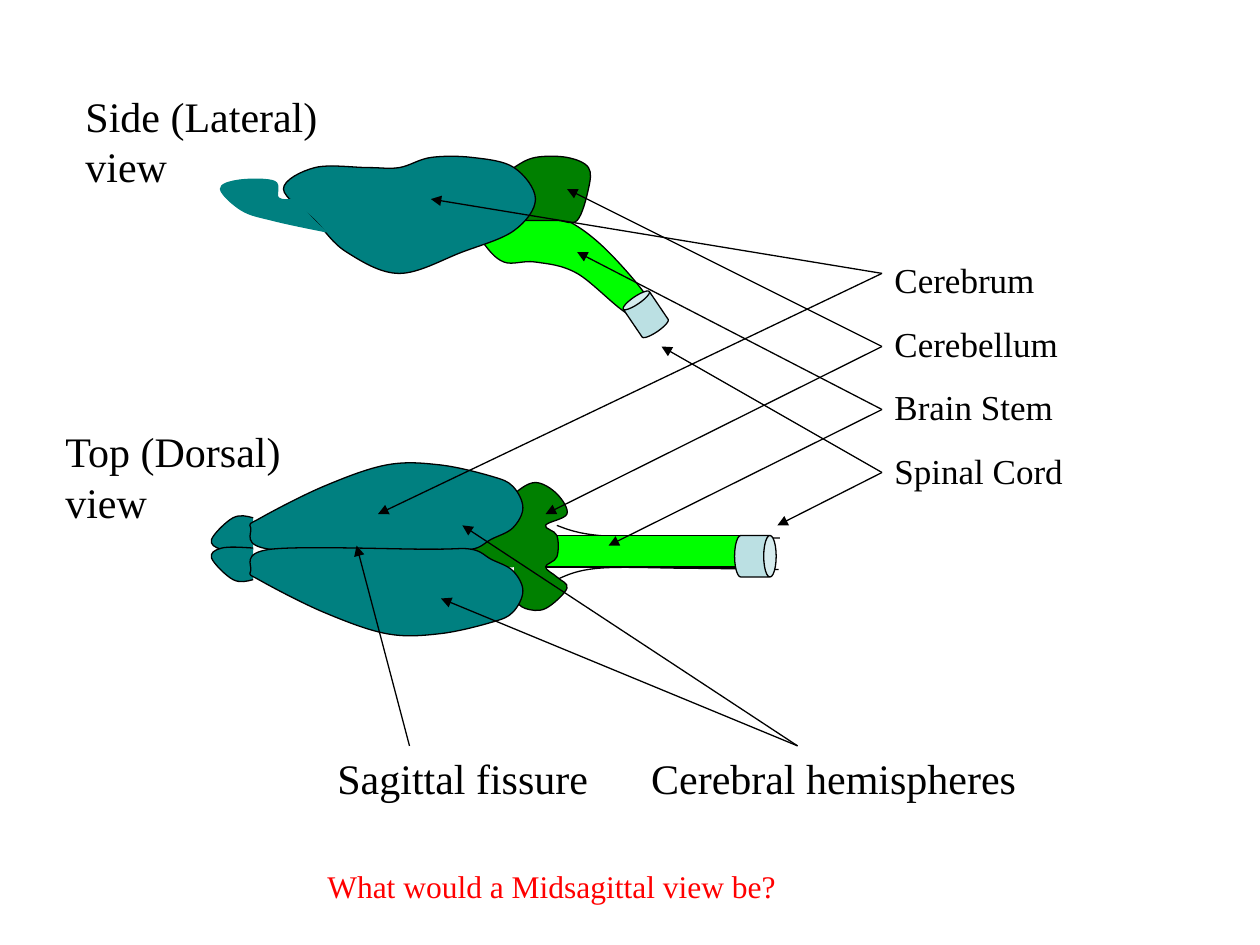
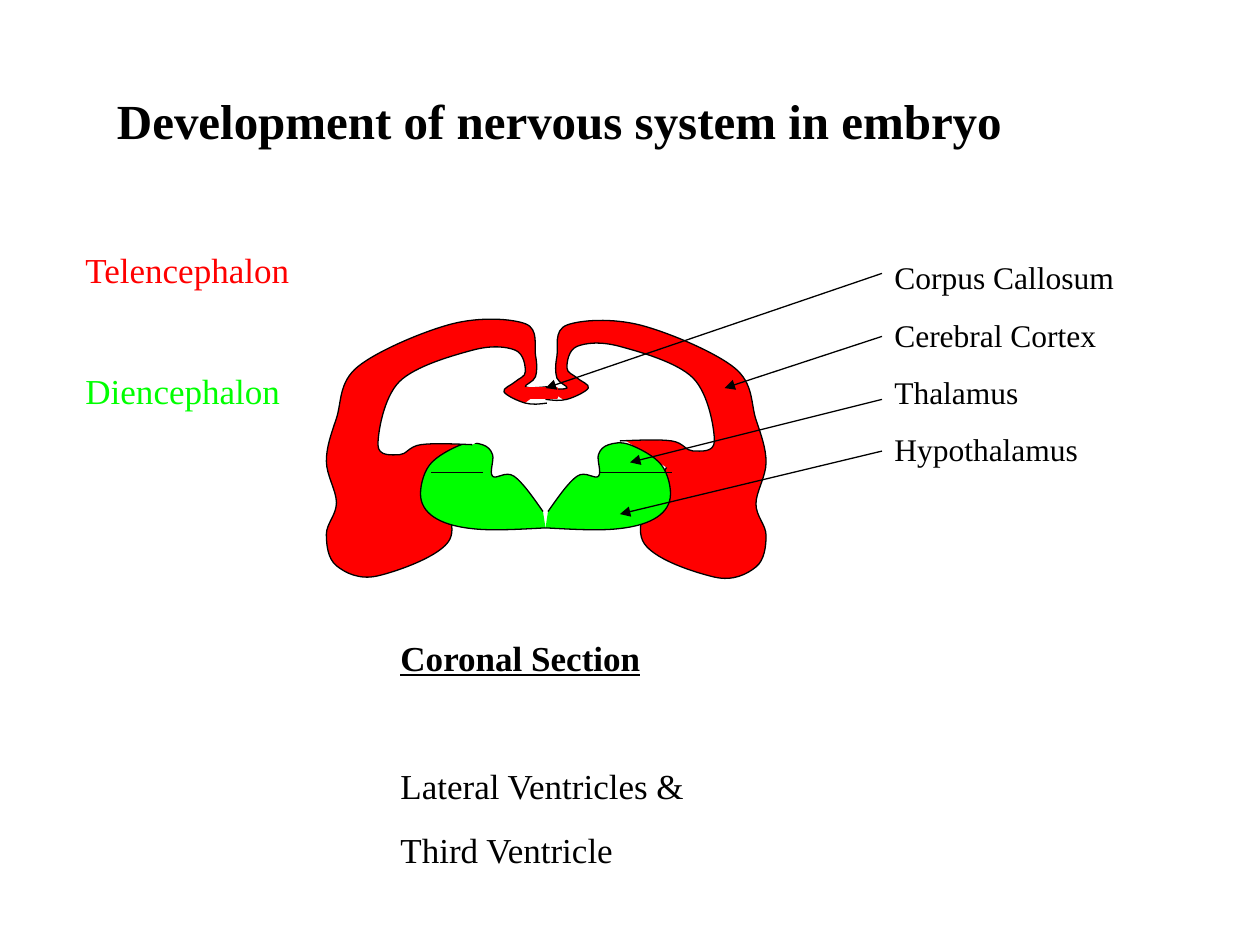
"""Build two slides on brain anatomy: outer views and a coronal section."""
from dataclasses import dataclass
from typing import Optional

from lxml import etree
from pptx import Presentation
from pptx import util as u
from pptx.dml import color
from pptx.enum import shapes, text
from pptx.oxml import ns

HUES = {
    "black": "000000", "white": "FFFFFF", "red": "FF0000", "teal": "008080",
    "green": "008000", "lime": "00FF00", "pale": "BBE0E3",
}
FONT = "Times New Roman"
STROKE = u.Pt(0.75)
KINDS = shapes.MSO_SHAPE
Point = tuple[float, float]
Box = tuple[float, float, float, float]


@dataclass
class Curve:
    points: list[Point]
    fill: Optional[str] = None
    line: str = "black"
    closed: bool = False


@dataclass
class Block:
    kind: shapes.MSO_SHAPE
    box: Box
    fill: str
    line: str = "black"
    turn: float = 0
    depth: Optional[float] = None


@dataclass
class Link:
    start: Point
    end: Point
    arrow: bool = True


@dataclass
class Line:
    words: str
    hue: str = "black"
    gap: float = 0
    strong: bool = False
    under: bool = False
    tab: Optional[float] = None


@dataclass
class Label:
    box: Box
    size: float
    lines: list[Line]


def rgb(name: str) -> color.RGBColor:
    return color.RGBColor.from_string(HUES[name])


def bend(curve: Curve) -> list[Point]:
    """Return the start of a smooth curve, then three Bezier points a span."""
    dots = [complex(*point) for point in curve.points]
    count = len(dots)
    spans = count if curve.closed else count - 1
    trail = [dots[0]]
    for i in range(spans):
        a, d = dots[i], dots[(i + 1) % count]
        b = a + (d - dots[i - 1]) / 6
        c = d - (dots[(i + 2) % count] - a) / 6
        if not curve.closed and i == 0:
            b = (a + c) / 2
        if not curve.closed and i == spans - 1:
            c = (b + d) / 2
        trail += [b, c, d]
    return [(u.Inches(dot.real), u.Inches(dot.imag)) for dot in trail]


def paint(shape, fill: Optional[str], line: str) -> None:
    shape.shadow.inherit = False
    if fill:
        shape.fill.solid()
        shape.fill.fore_color.rgb = rgb(fill)
    else:
        shape.fill.background()
    shape.line.color.rgb = rgb(line)
    shape.line.width = STROKE


def draw_curve(slide, curve: Curve) -> None:
    first, *rest = bend(curve)
    maker = slide.shapes.build_freeform(*first)
    maker.add_line_segments(rest, close=curve.closed)
    shape = maker.convert_to_shape()
    sides = list(shape._element.iter(ns.qn("a:lnTo")))
    for i in range(0, len(sides), 3):
        arc = etree.Element(ns.qn("a:cubicBezTo"))
        sides[i].addprevious(arc)
        for side in sides[i:i + 3]:
            arc.append(side[0])
            side.getparent().remove(side)
    paint(shape, curve.fill, curve.line)


def draw_block(slide, block: Block) -> None:
    shape = slide.shapes.add_shape(block.kind, *map(u.Inches, block.box))
    shape.rotation = block.turn
    if block.depth is not None:
        shape.adjustments[0] = block.depth
    paint(shape, block.fill, block.line)


def draw_link(slide, link: Link) -> None:
    ends = map(u.Inches, (*link.start, *link.end))
    wire = slide.shapes.add_connector(shapes.MSO_CONNECTOR.STRAIGHT, *ends)
    wire.line.color.rgb = rgb("black")
    wire.line.width = STROKE
    if link.arrow:
        stroke = wire.line._get_or_add_ln()
        etree.SubElement(stroke, ns.qn("a:tailEnd"), type="triangle")
    etree.SubElement(wire._element.spPr, ns.qn("a:effectLst"))


def draw_label(slide, label: Label) -> None:
    frame = slide.shapes.add_textbox(*map(u.Inches, label.box)).text_frame
    frame.word_wrap = True
    frame.auto_size = text.MSO_AUTO_SIZE.SHAPE_TO_FIT_TEXT
    for i, line in enumerate(label.lines):
        para = frame.add_paragraph() if i else frame.paragraphs[0]
        if line.tab is not None:
            stops = etree.SubElement(para._p.get_or_add_pPr(), ns.qn("a:tabLst"))
            etree.SubElement(stops, ns.qn("a:tab"), pos=str(u.Inches(line.tab)), algn="l")
        if i:
            para.space_before = u.Pt(line.gap)
        run = para.add_run()
        run.text = line.words
        font = run.font
        font.name, font.size = FONT, u.Pt(label.size)
        font.bold, font.underline = line.strong, line.under
        font.color.rgb = rgb(line.hue)


DRAW = {Curve: draw_curve, Block: draw_block, Link: draw_link, Label: draw_label}


def flip_x(points: list[Point], rise: float = 0, span: float = 8.67) -> list[Point]:
    """Mirror points left to right about the midline of the section."""
    return [(span - x, y + rise) for x, y in points]


def flip_y(points: list[Point], span: float = 8.72) -> list[Point]:
    """Mirror points top to bottom about the sagittal fissure."""
    return [(x, span - y) for x, y in points]


def stack(names: list[str], gap: float) -> list[Line]:
    return [Line(name, gap=gap) for name in names]


def fan(start: Point, *ends: Point) -> list[Link]:
    return [Link(start, end) for end in ends]


STEM = [(3.83, 1.92), (4, 2.08), (4.25, 2.08), (4.58, 2.17), (5, 2.5),
        (5.17, 2.42), (4.83, 2), (4.5, 1.75), (4.17, 1.67)]
SIDE_BELLUM = [(4.08, 1.33), (4.25, 1.25), (4.5, 1.25), (4.67, 1.33),
               (4.67, 1.5), (4.58, 1.75), (4.42, 1.75), (4.17, 1.75)]
SIDE_BRUM = [(2.5, 1.75), (2.25, 1.5), (2.5, 1.33), (2.92, 1.33), (3.17, 1.33),
             (3.42, 1.25), (3.75, 1.25), (4.08, 1.33), (4.25, 1.58),
             (4.08, 1.83), (3.67, 2), (3.17, 2.17), (2.75, 2)]
SIDE_BULB = [(2.59, 1.84), (2.17, 1.75), (1.92, 1.67), (1.75, 1.5),
             (1.9, 1.43), (2.18, 1.44), (2.21, 1.57), (2.33, 1.58)]
CORD_TOP = [(4.42, 4.17), (4.75, 4.25), (5.43, 4.27), (6.19, 4.27)]
CORD_BASE = [(4.42, 4.6), (4.75, 4.51), (5.43, 4.51), (6.18, 4.52)]
BULB = [(2.01, 4.36), (1.76, 4.36), (1.68, 4.28), (1.85, 4.11), (2.01, 4.11)]
BELLUM = [(4.08, 3.92), (4.25, 3.83), (4.42, 3.92), (4.5, 4.08), (4.33, 4.17),
          (4.42, 4.25), (4.42, 4.42), (4.33, 4.5), (4.42, 4.58), (4.5, 4.67),
          (4.33, 4.83), (4.17, 4.83), (4.08, 4.75)]
HALF = [(2.15, 4.36), (3.4, 4.36), (3.74, 4.36), (3.9, 4.28), (4.07, 4.19),
        (4.15, 4.03), (4.07, 3.86), (3.9, 3.78), (3.49, 3.69), (3.07, 3.69),
        (2.57, 3.86), (2.07, 4.11), (1.99, 4.19)]

VIEWS = [
    Curve(STEM, "lime"),
    Block(KINDS.CAN, (5, 2.33, 0.25, 0.33), "pale", turn=325.9, depth=0.25),
    Curve(SIDE_BELLUM, "green"),
    Curve(SIDE_BRUM, "teal", closed=True),
    Curve(SIDE_BULB, "teal", "teal"),
    Curve(CORD_TOP),
    Curve(CORD_BASE),
    Block(KINDS.RECTANGLE, (4.33, 4.25, 1.67, 0.25), "lime"),
    Curve(BULB, "teal"),
    Curve(flip_y(BULB, 8.71), "teal"),
    Curve(BELLUM, "green"),
    Block(KINDS.OVAL, (3.58, 4.17, 0.83, 0.33), "green", "green"),
    Curve(HALF, "teal", closed=True),
    Curve(flip_y(HALF), "teal", closed=True),
    Block(KINDS.CAN, (5.83, 4.25, 0.33, 0.33), "pale", turn=90, depth=0.3),
    Label((0.58, 0.67, 2.08, 0.9), 24, [Line("Side (Lateral) view")]),
    Label((0.42, 3.33, 2.08, 0.9), 24, [Line("Top (Dorsal) view")]),
    Label((7, 2, 2.42, 1.96), 20,
          stack(["Cerebrum", "Cerebellum", "Brain Stem", "Spinal Cord"], 12.5)),
    *fan((7, 2.17), (3.42, 1.58), (3, 4.08)),
    *fan((7, 2.75), (4.5, 1.5), (4.33, 4.08)),
    *fan((7, 3.25), (4.58, 2), (4.83, 4.33)),
    *fan((7, 3.75), (5.25, 2.75), (6.17, 4.17)),
    Label((2.58, 5.92, 5.83, 0.5), 24,
          [Line("Sagittal fissure\tCerebral hemispheres", tab=2.49)]),
    *fan((3.25, 5.92), (2.83, 4.33)),
    *fan((6.33, 5.92), (3.5, 4.75), (3.67, 4.17)),
    Label((2.5, 6.83, 4.5, 0.4), 18,
          [Line("What would a Midsagittal view be?", "red")]),
]

CORTEX = [(4.33, 3.08), (4.5, 3.08), (4.42, 3), (4.42, 2.83), (4.5, 2.58),
          (5.08, 2.58), (5.83, 2.92), (6, 3.33), (6.08, 3.67), (6, 4),
          (6.08, 4.25), (6, 4.5), (5.67, 4.58), (5.1, 4.29)]
CORE = [(4.35, 4.06), (4.58, 3.78), (4.75, 3.78), (4.75, 3.61), (4.83, 3.53),
        (5, 3.53), (5.25, 3.69), (5.32, 3.95), (5.19, 4.12), (4.87, 4.2),
        (4.33, 4.19)]
SPACE = [(4.92, 3.5), (5.33, 3.5), (5.5, 3.58), (5.67, 3.5), (5.5, 3),
         (4.92, 2.75), (4.58, 2.75), (4.5, 2.92), (4.58, 3), (4.67, 3.08),
         (4.5, 3.17), (4.33, 3.17)]

SECTION = [
    Curve([*flip_x(CORTEX, -0.01), (3.38, 3.78)], "red"),
    Curve([*CORTEX, (5.29, 3.71)], "red"),
    Curve(CORE, "lime"),
    Curve(flip_x(CORE, span=8.66), "lime"),
    Curve(SPACE, "white"),
    Curve(flip_x(SPACE, 0.03), "white"),
    Label((0.58, 1.92, 2, 1.4), 20,
          [Line("Telencephalon", "red"), Line("Diencephalon", "lime", 45.5)]),
    Link((4.75, 3.75), (5.33, 3.75), False),
    Link((3.83, 3.75), (3.42, 3.75), False),
    Label((7, 2, 2.17, 1.77), 18,
          stack(["Corpus Callosum", "Cerebral Cortex", "Thalamus", "Hypothalamus"], 11.2)),
    Block(KINDS.RECTANGLE, (4.17, 3.08, 0.25, 0.08), "red", "red"),
    Link((7, 2.17), (4.33, 3.08)),
    Link((7, 2.67), (5.75, 3.08)),
    Link((7, 3.17), (5, 3.67)),
    Link((7, 3.58), (4.92, 4.08)),
    Label((0.83, 0.67, 7.58, 0.57), 28,
          [Line("Development of nervous system in embryo", strong=True)]),
    Label((3.08, 5, 2.83, 1.96), 20,
          [Line("Coronal Section", strong=True, under=True),
           Line("Lateral Ventricles &", gap=49.5),
           Line("Third Ventricle", gap=12.5)]),
]


def main() -> None:
    deck = Presentation()
    deck.slide_width, deck.slide_height = u.Inches(10), u.Inches(7.5)
    for parts in (VIEWS, SECTION):
        slide = deck.slides.add_slide(deck.slide_layouts[6])
        for part in parts:
            DRAW[type(part)](slide, part)
    deck.save("out.pptx")


if __name__ == "__main__":
    main()
